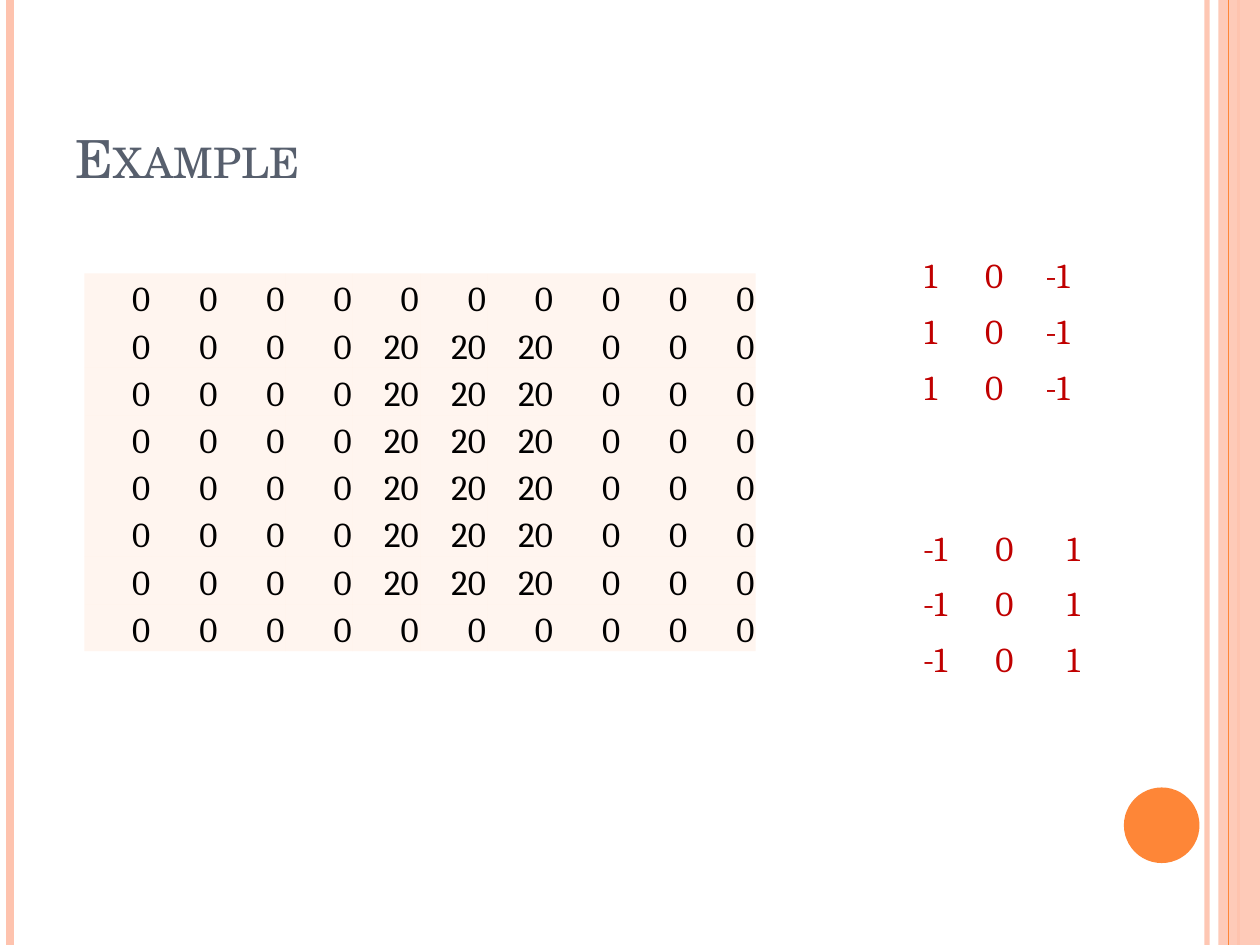
from dataclasses import dataclass
from pptx import Presentation
from pptx.dml.color import RGBColor
from pptx.enum.shapes import MSO_CONNECTOR, MSO_SHAPE
from pptx.enum.text import MSO_ANCHOR, PP_ALIGN
from pptx.oxml.ns import qn
from pptx.util import Inches, Pt
from lxml.etree import SubElement


@dataclass(frozen=True)
class Theme:
    peach: str = "FEC3AE"
    orange: str = "FE8637"
    slate: str = "575F6D"
    cream: str = "FFE7D7"
    black: str = "000000"
    red: str = "C00000"
    title_font: str = "TeX Gyre Schola"
    number_font: str = "Cambria"
    title_size: float = 30
    number_size: float = 20
    plain_table: str = "{2D5ABB26-0587-4C30-8999-92F81FD0307C}"


def set_attrs(target, values):
    for name, value in values.items():
        setattr(target, name, value)


def set_alpha(parent, percent):
    color = next(parent.iter(qn("a:srgbClr")))
    SubElement(color, qn("a:alpha"), val=str(percent * 1000))


class SlideBuilder:
    def __init__(self, slide, theme):
        self.s = slide
        self.theme = theme

    def font(self, font, name, size, color):
        set_attrs(font, {"name": name, "size": Pt(size)})
        font.color.rgb = RGBColor.from_string(color)

    def title(self, text, left, top, width, height):
        sp = self.s.shapes.title
        set_attrs(sp, {"left": Inches(left), "top": Inches(top),
                       "width": Inches(width), "height": Inches(height)})
        tf = sp.text_frame
        set_attrs(tf, {"word_wrap": True, "vertical_anchor": MSO_ANCHOR.BOTTOM})
        p = tf.paragraphs[0]
        p.alignment = PP_ALIGN.LEFT
        r = p.add_run()
        r.text = text
        self.font(r.font, self.theme.title_font, self.theme.title_size, self.theme.slate)
        r.font._element.set("cap", "small")

    def vertical_line(self, x, color, width, alpha=100):
        line = self.s.shapes.add_connector(
            MSO_CONNECTOR.STRAIGHT, Inches(x), 0, Inches(x), Inches(7.5))
        line.line.width = Pt(width)
        line.line.color.rgb = RGBColor.from_string(color)
        if alpha < 100:
            set_alpha(line._element.spPr, alpha)
        SubElement(line._element.spPr, qn("a:effectLst"))

    def shape(self, kind, box, color, alpha=100):
        sp = self.s.shapes.add_shape(kind, *map(Inches, box))
        sp.shadow.inherit = False
        sp.fill.solid()
        sp.fill.fore_color.rgb = RGBColor.from_string(color)
        sp.line.fill.background()
        if alpha < 100:
            set_alpha(sp._element.spPr, alpha)

    def matrix(self, values, box, color, fill=None, alpha=100):
        frame = self.s.shapes.add_table(len(values), len(values[0]), *map(Inches, box))
        table = frame.table
        set_attrs(table, {"first_row": False, "horz_banding": False})
        table._tbl.tblPr.find(qn("a:tableStyleId")).text = self.theme.plain_table
        for i, row in enumerate(values):
            for j, value in enumerate(row):
                self.cell(table.cell(i, j), value, color, fill, alpha)

    def cell(self, cell, value, color, fill, alpha):
        inset = Inches(0.01)
        set_attrs(cell, {"margin_left": inset, "margin_right": inset,
                         "margin_top": inset, "margin_bottom": 0,
                         "vertical_anchor": MSO_ANCHOR.BOTTOM})
        if fill:
            cell.fill.solid()
            cell.fill.fore_color.rgb = RGBColor.from_string(fill)
            set_alpha(cell._tc.tcPr, alpha)
        else:
            cell.fill.background()
        p = cell.text_frame.paragraphs[0]
        p.alignment = PP_ALIGN.RIGHT
        r = p.add_run()
        r.text = str(value)
        self.font(r.font, self.theme.number_font, self.theme.number_size, color)


def main():
    prs = Presentation()
    set_attrs(prs, {"slide_width": Inches(10), "slide_height": Inches(7.5)})
    theme = Theme()
    b = SlideBuilder(prs.slides.add_slide(prs.slide_layouts[5]), theme)

    b.vertical_line(9.58, theme.peach, 3, 93)
    b.vertical_line(0.08, theme.peach, 4.5)
    b.vertical_line(9.75, theme.orange, 0.75)
    b.shape(MSO_SHAPE.RECTANGLE, (9.67, 0, 0.33, 7.5), theme.peach, 87)
    b.vertical_line(9.75, theme.orange, 0.75)
    b.vertical_line(9.83, theme.peach, 1.5)
    b.shape(MSO_SHAPE.OVAL, (8.92, 6.25, 0.6, 0.6), theme.orange)

    b.title("Example", 0.5, 0.3, 8.17, 1.25)
    blank_row = [0] * 10
    bar_row = [0] * 4 + [20] * 3 + [0] * 3
    image = [blank_row] + [bar_row] * 6 + [blank_row]
    b.matrix(image, (0.67, 2.17, 5.33, 3), theme.black, theme.cream, 40)
    b.matrix([[1, 0, -1]] * 3, (6.92, 1.92, 1.58, 1.33), theme.red)
    b.matrix([[-1, 0, 1]] * 3, (7, 4.08, 1.58, 1.33), theme.red)

    prs.save("out.pptx")


if __name__ == "__main__":
    main()
